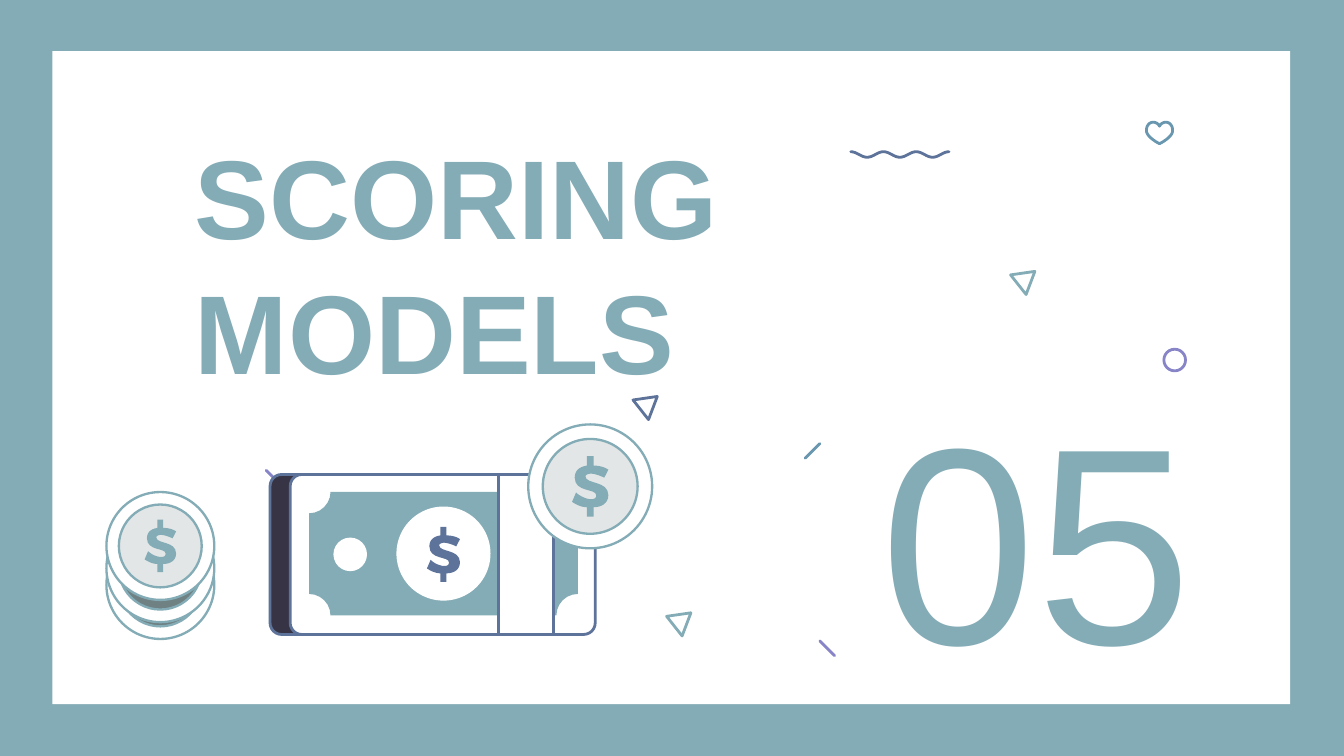
from math import cos, pi

from lxml.etree import SubElement
from pptx import Presentation
from pptx.dml.color import RGBColor
from pptx.enum.shapes import MSO_CONNECTOR, MSO_SHAPE
from pptx.enum.text import MSO_ANCHOR, MSO_AUTO_SIZE, PP_ALIGN
from pptx.oxml.ns import qn
from pptx.util import Pt

TEAL = RGBColor(0x84, 0xAC, 0xB6)
SLATE = RGBColor(0x5D, 0x73, 0x9A)
BLUE = RGBColor(0x69, 0x97, 0xAF)
VIOLET = RGBColor(0x87, 0x84, 0xC7)
DARK = RGBColor(0x37, 0x35, 0x45)
PALE = RGBColor(0xE2, 0xE6, 0xE6)
SHADE = RGBColor(0x6F, 0x81, 0x83)
WHITE = RGBColor(0xFF, 0xFF, 0xFF)

# Content: text, box, font, line pitch, alignment
TEXTS = [
    ("SCORING MODELS", (97.2, 61.2, 367.2, 140.4),
     {"size": Pt(60), "bold": True, "name": "Arial"}, 72, PP_ALIGN.LEFT),
    ("05", (370.1, 208.1, 275.8, 149.8),
     {"size": Pt(150), "bold": False, "name": "Arial"}, 160, PP_ALIGN.RIGHT),
]

# Doodles: place and colour
TICKS = [((439.2, 237.6), (431.3, 245.5), BLUE),
         ((142.6, 252), (150.5, 259.9), VIOLET),
         ((439.2, 343.4), (447.1, 351.3), VIOLET)]
TRIANGLES = [(541.4, 145.4, TEAL), (357.1, 328.3, TEAL), (339.1, 212.4, SLATE)]
TRIANGLE = [(13, 0), (0, 1.9), (8.3, 12.4)]
WAVE = {"left": 455.8, "mid": 82.8, "width": 52.6, "height": 1.5, "periods": 3}

# Outlines: a pair is a line to a point, six numbers are a Bezier curve
HEART = [(7, 11.5), (5, 10.4), (0, 7.2, 0, 5.2, 0, 4.3), (0, 2, 1.4, 0, 3.6, 0),
         (5, 0, 6.3, 0.8, 7, 2.1), (7.7, 0.8, 9, 0, 10.4, 0),
         (12.6, 0, 14, 2, 14, 4.3), (14, 5.2, 14, 7.2, 9, 10.4)]
DOLLAR = [(11, 0), (11, 7), (5, 8, 2, 11, 2, 16), (2, 27, 18, 24, 18, 29),
          (18, 31, 17, 32, 14, 32), (11, 32, 6, 30, 3, 27), (0, 34),
          (3, 36, 7, 38, 11, 38), (11, 45), (16, 45), (16, 38),
          (22, 38, 27, 35, 27, 29), (27, 18, 10, 21, 10, 15),
          (10, 14, 12, 13, 14, 13), (16, 13, 20, 14, 24, 16), (27, 10),
          (24, 8, 20, 7, 16, 7), (16, 0)]
DOLLAR_W, DOLLAR_H = 27, 45

# Coins: centre, outer radius, inner radius, dollar height, inner fill
BIG_COIN = (316.2, 260.6, 33.2, 25.4, 32.4, PALE)
COIN_STACK = [(85.9, y, 28.9, 22.2, 28.1, c)
              for y, c in ((313.4, SHADE), (304.4, SHADE), (292.5, PALE))]

# Banknote
CARD_TOP, CARD_W, CARD_H, CARD_R = 254.2, 163.4, 85.7, 6.2
CARDS = [(144.7, DARK), (155.5, WHITE)]
BILL = (165.6, 263.5, 144, 66.2)
BILL_NOTCH = 11.5
MEDALLION = (237.6, 296.6, 25.2)
SPOT = (187.6, 297, 9)
BAND = (267.1, CARD_TOP, 29.5, CARD_H)


def paint(sp, fill=None, line=None, width=1.5):
    sp.shadow.inherit = False
    if fill is None:
        sp.fill.background()
    else:
        sp.fill.solid()
        sp.fill.fore_color.rgb = fill
    if line is None:
        sp.line.fill.background()
    else:
        sp.line.color.rgb = line
        sp.line.width = Pt(width)
    return sp


def preset(kind, box, fill=None, line=None, width=1.5, adj=None):
    sp = s.shapes.add_shape(kind, *map(Pt, box))
    if adj is not None:
        sp.adjustments[0] = adj
    return paint(sp, fill, line, width)


def disc(x, y, r, *style):
    return preset(MSO_SHAPE.OVAL, (x - r, y - r, 2 * r, 2 * r), *style)


def outline(points, close=True, **style):
    pts = [(Pt(x), Pt(y)) for x, y in points]
    fb = s.shapes.build_freeform(*pts[0])
    fb.add_line_segments(pts[1:], close=close)
    return paint(fb.convert_to_shape(), **style)


def place(points, x, y, scale=1):
    return [(x + px * scale, y + py * scale) for px, py in points]


def flatten(segments, steps=8):
    pts = []
    for seg in segments:
        if len(seg) == 2:
            pts.append(seg)
            continue
        curve = [pts[-1], seg[:2], seg[2:4], seg[4:]]
        for i in range(1, steps + 1):
            t = i / steps
            w = ((1 - t) ** 3, 3 * t * (1 - t) ** 2, 3 * t * t * (1 - t), t ** 3)
            pts.append(tuple(sum(k * p[a] for k, p in zip(w, curve)) for a in (0, 1)))
    return pts


def dollar(x, y, height, color):
    k = height / DOLLAR_H
    outline(place(flatten(DOLLAR), x - DOLLAR_W * k / 2, y - height / 2, k), fill=color)


def coin(x, y, outer, inner, height, fill):
    disc(x, y, outer, WHITE, TEAL, 1.25)
    disc(x, y, inner, fill, TEAL, 1.25)
    dollar(x, y, height, TEAL)


def round_cap(sp):
    sp.line._get_or_add_ln().set("cap", "rnd")


prs = Presentation()
prs.slide_width, prs.slide_height = Pt(720), Pt(405)
s = prs.slides.add_slide(prs.slide_layouts[0])

# Frame and panel
preset(MSO_SHAPE.RECTANGLE, (-4.3, -1.4, 728.6, 408.2), TEAL)
preset(MSO_SHAPE.RECTANGLE, (28.1, 27.4, 663.1, 349.9), WHITE)

# Doodles
for start, end, color in TICKS:
    tick = s.shapes.add_connector(MSO_CONNECTOR.STRAIGHT, *map(Pt, start + end))
    tick.line.color.rgb, tick.line.width = color, Pt(1.5)
    round_cap(tick)
    SubElement(tick._element.spPr, qn("a:effectLst"))
for x, y, color in TRIANGLES:
    outline(place(TRIANGLE, x, y), line=color)
n = 16 * WAVE["periods"]
round_cap(outline([(WAVE["left"] + WAVE["width"] * i / n,
                    WAVE["mid"] - WAVE["height"] * cos(2 * pi * i / 16))
                   for i in range(n + 1)], close=False, line=SLATE))
outline(place(flatten(HEART), 614.2, 65.5), line=BLUE)
disc(629.3, 192.9, 5.8, None, VIOLET)

# Title and number, raised above the panel
for ph, (text, box, font, pitch, align) in zip(s.placeholders, TEXTS):
    ph.left, ph.top, ph.width, ph.height = map(Pt, box)
    tf = ph.text_frame
    frame = {"word_wrap": True, "auto_size": MSO_AUTO_SIZE.NONE,
             "vertical_anchor": MSO_ANCHOR.TOP}
    frame.update({f"margin_{side}": Pt(7.2) for side in ("left", "top", "right", "bottom")})
    p = tf.paragraphs[0]
    r = p.add_run()
    r.text = text
    para = {"alignment": align, "line_spacing": Pt(pitch),
            "space_before": Pt(0), "space_after": Pt(0)}
    for obj, values in ((tf, frame), (p, para), (r.font, font)):
        for name, value in values.items():
            setattr(obj, name, value)
    r.font.color.rgb = TEAL
    s.shapes._spTree.append(ph._element)

# Banknote
for left, fill in CARDS:
    preset(MSO_SHAPE.ROUNDED_RECTANGLE, (left, CARD_TOP, CARD_W, CARD_H),
           fill, SLATE, adj=CARD_R / CARD_H)
preset(MSO_SHAPE.PLAQUE, BILL, TEAL, adj=BILL_NOTCH / BILL[3])
disc(*MEDALLION, WHITE)
dollar(237.6, 297, 29.5, SLATE)
disc(*SPOT, WHITE)
preset(MSO_SHAPE.RECTANGLE, BAND, WHITE, SLATE)

# Coins
for c in [BIG_COIN] + COIN_STACK:
    coin(*c)

prs.save("out.pptx")
